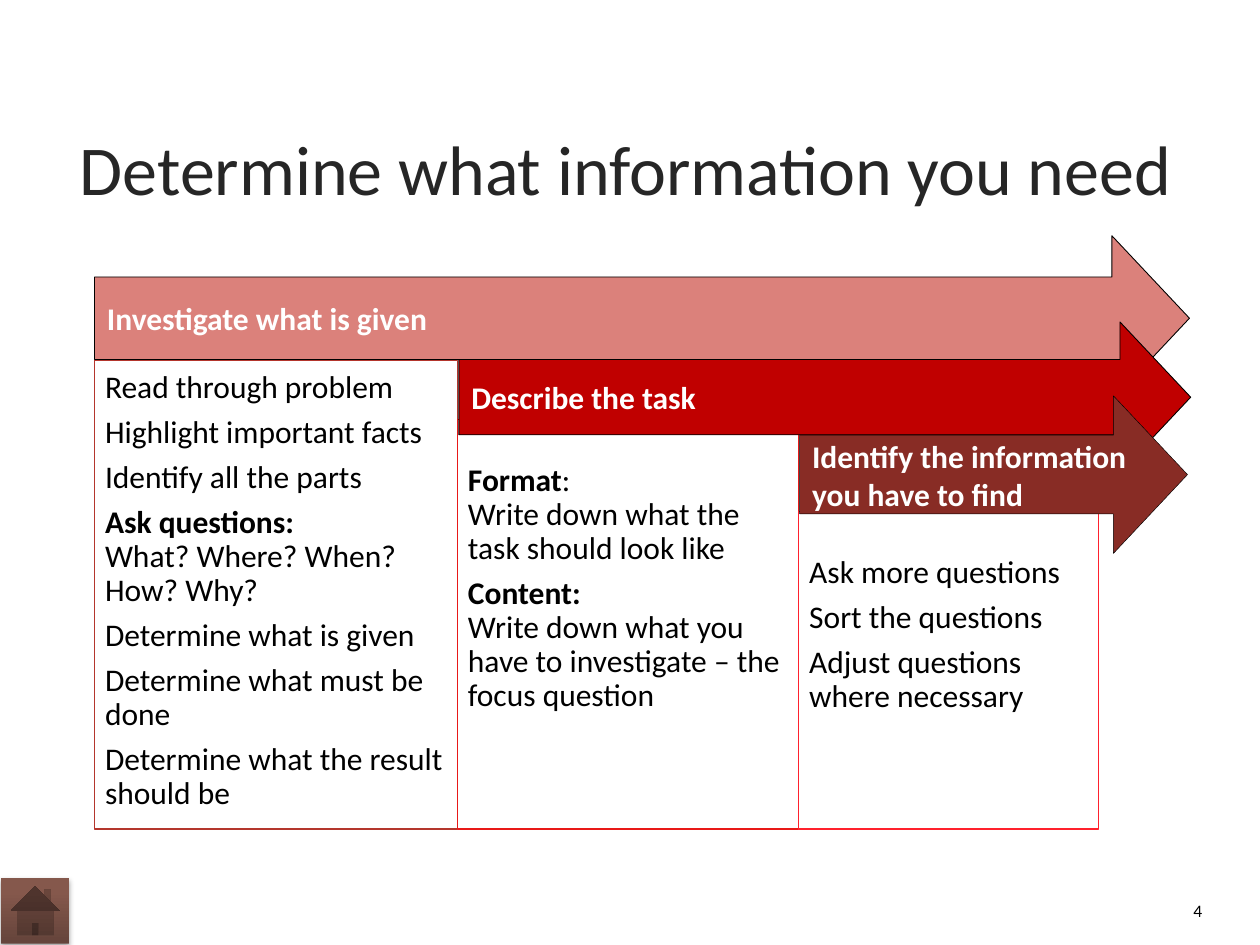
from lxml import etree
from pptx import Presentation
from pptx.dml.color import RGBColor
from pptx.enum.shapes import MSO_SHAPE
from pptx.enum.text import MSO_ANCHOR, PP_ALIGN
from pptx.oxml.ns import qn
from pptx.util import Pt

TITLE = "Determine what information you need"
PAGE_NUMBER = "4"

# A panel paragraph is plain text, or (bold lead, plain tail, text on the next line).
STEPS = [
    {
        "heading": "Investigate what is given",
        "arrow": (54, 134.7, 625.7, 94.3), "fill": "DB817B", "outline": 0.5,
        "panel_left": 54, "panel_top": 206, "text_top": 6, "border": "B4362D",
        "details": [
            "Read through problem",
            "Highlight important facts",
            "Identify all the parts",
            ("Ask questions:", "", "What? Where? When? How? Why?"),
            "Determine what is given",
            "Determine what must be done",
            "Determine what the result should be",
        ],
    },
    {
        "heading": "Describe the task",
        "arrow": (262.2, 184, 418.2, 86), "fill": "C00000", "outline": 0.5,
        "panel_left": 261.4, "panel_top": 239.8, "text_top": 25.5, "border": "E81918",
        "details": [
            ("Format", ":", "Write down what the task should look like"),
            ("Content:", "", "Write down what you have to investigate – the focus question"),
        ],
    },
    {
        "heading": "Identify the information you have to find",
        "arrow": (457, 226.2, 221.6, 90), "fill": "882C25", "outline": 0.25,
        "panel_left": 456.4, "panel_top": 292.3, "text_top": 25.5, "border": "FF212D",
        "details": [
            "Ask more questions",
            "Sort the questions",
            "Adjust questions where necessary",
        ],
    },
]
PANELS_RIGHT, PANELS_BOTTOM = 627.8, 473.8

THEME = {
    "font": "Calibri",
    "title": 40, "body": 18, "number": 10,
    "title_color": "262626", "text": "000000", "light": "FFFFFF", "outline": "000000",
    "home_dark": "65443B", "home_light": "85584C",
}


def color(value):
    return RGBColor.from_string(value)


def place(shape, left, top, width, height):
    shape.left, shape.top, shape.width, shape.height = map(Pt, (left, top, width, height))


def format_runs(paragraph, size, ink, bold=None):
    for run in paragraph.runs:
        run.font.name = THEME["font"]
        run.font.size = Pt(size)
        run.font.color.rgb = color(ink)
        if bold is not None:
            run.font.bold = bold


def add_box(slide, preset, bounds, fill, border, weight):
    box = slide.shapes.add_shape(preset, *map(Pt, bounds))
    box.shadow.inherit = False
    box.fill.solid()
    box.fill.fore_color.rgb = color(fill)
    box.line.color.rgb = color(border)
    box.line.width = Pt(weight)
    box.text_frame.word_wrap = True
    return box


def add_arrow(slide, step):
    arrow = add_box(slide, MSO_SHAPE.RIGHT_ARROW, step["arrow"], step["fill"],
                    THEME["outline"], step["outline"])
    arrow.adjustments[0], arrow.adjustments[1] = 0.5, 0.47
    frame = arrow.text_frame
    frame.vertical_anchor = MSO_ANCHOR.MIDDLE
    frame.text = step["heading"]
    heading = frame.paragraphs[0]
    heading.alignment = PP_ALIGN.LEFT
    format_runs(heading, THEME["body"], THEME["light"], bold=True)


def add_panel(slide, step, right):
    left, top = step["panel_left"], step["panel_top"]
    panel = add_box(slide, MSO_SHAPE.RECTANGLE,
                    (left, top, right - left, PANELS_BOTTOM - top),
                    THEME["light"], step["border"], 0.75)
    frame = panel.text_frame
    frame.vertical_anchor = MSO_ANCHOR.TOP
    frame.margin_left = frame.margin_right = frame.margin_bottom = Pt(6)
    frame.margin_top = Pt(step["text_top"])
    for index, detail in enumerate(step["details"]):
        paragraph = frame.add_paragraph() if index else frame.paragraphs[0]
        paragraph.alignment = PP_ALIGN.LEFT
        paragraph.line_spacing = 0.9
        paragraph.space_after = Pt(6.3)
        if isinstance(detail, str):
            paragraph.text = detail
        else:
            lead, tail, body = detail
            lead_run = paragraph.add_run()
            lead_run.text = lead
            lead_run.font.bold = True
            if tail:
                paragraph.add_run().text = tail
            paragraph.add_line_break()
            paragraph.add_run().text = body
        format_runs(paragraph, THEME["body"], THEME["text"])


def add_home_button(slide):
    home = slide.shapes.add_shape(MSO_SHAPE.ACTION_BUTTON_HOME,
                                  Pt(0.7), Pt(501.8), Pt(38.9), Pt(37.4))
    home.line.fill.background()
    home.fill.gradient()
    home.fill.gradient_angle = 90
    stops = home.fill.gradient_stops
    for stop, shade, position in zip(stops, ("home_dark", "home_light"), (0, 0.8)):
        stop.color.rgb = color(THEME[shade])
        stop.position = position
    home.shadow.inherit = False
    effects = home._element.spPr.find(qn("a:effectLst"))
    shadow = etree.SubElement(effects, qn("a:outerShdw"), blurRad=str(Pt(3.1)),
                              dist=str(Pt(1.8)), dir="5400000", rotWithShape="0")
    shade = etree.SubElement(shadow, qn("a:srgbClr"), val="000000")
    etree.SubElement(shade, qn("a:alpha"), val="35000")


def main():
    deck = Presentation()
    deck.slide_width, deck.slide_height = Pt(720), Pt(540)
    slide = deck.slides.add_slide(deck.slide_layouts[5])

    title = slide.shapes.title
    place(title, 35.3, 64.8, 644.4, 61.9)
    title.text_frame.text = TITLE
    title.text_frame.vertical_anchor = MSO_ANCHOR.MIDDLE
    title.text_frame.paragraphs[0].alignment = PP_ALIGN.CENTER
    format_runs(title.text_frame.paragraphs[0], THEME["title"], THEME["title_color"])

    add_arrow(slide, STEPS[0])
    rights = [step["panel_left"] for step in STEPS[1:]] + [PANELS_RIGHT]
    for step, right in zip(STEPS, rights):
        add_panel(slide, step, right)
    for step in STEPS[1:]:
        add_arrow(slide, step)

    number = slide.shapes.add_textbox(Pt(663), Pt(509), Pt(31), Pt(22.3)).text_frame
    number.word_wrap = True
    number.vertical_anchor = MSO_ANCHOR.MIDDLE
    number.text = PAGE_NUMBER
    number.paragraphs[0].alignment = PP_ALIGN.RIGHT
    format_runs(number.paragraphs[0], THEME["number"], THEME["text"])

    add_home_button(slide)
    deck.save("out.pptx")


if __name__ == "__main__":
    main()
